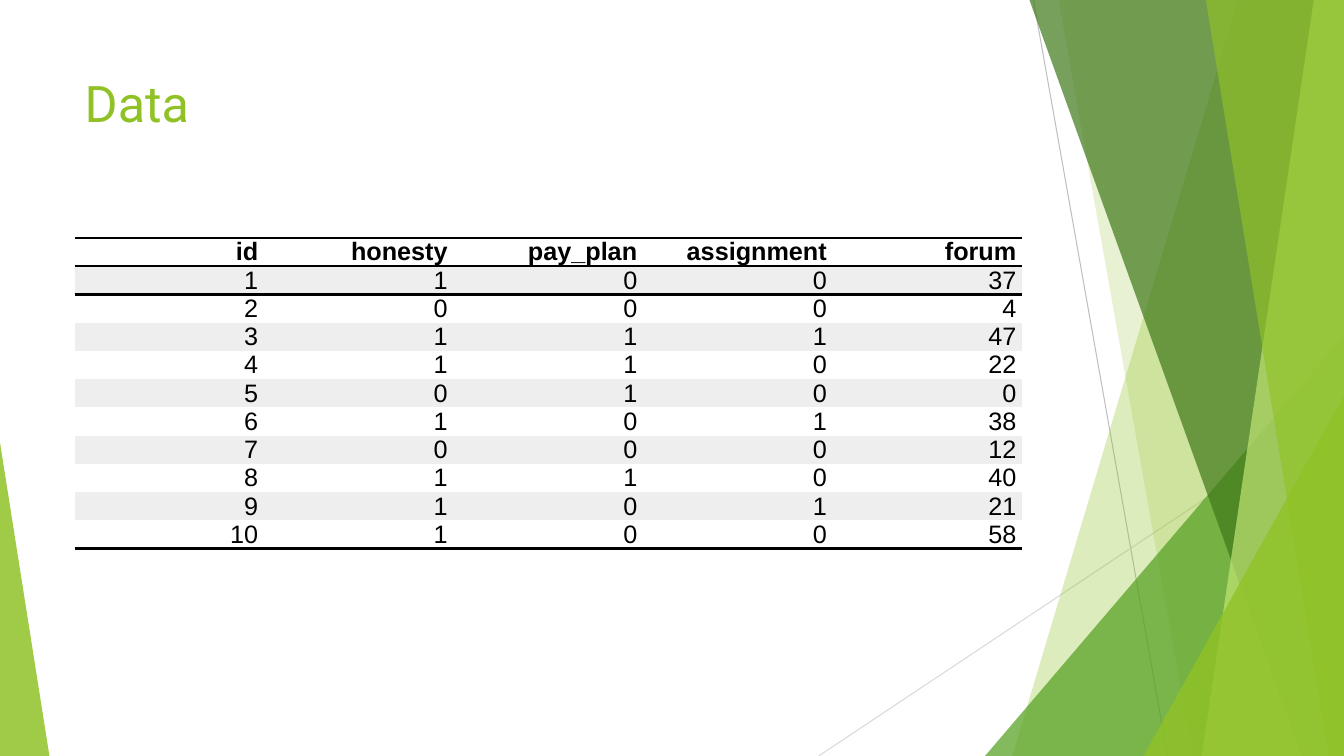
from lxml.etree import SubElement
from pptx import Presentation
from pptx.dml.color import RGBColor
from pptx.enum.shapes import MSO_CONNECTOR, MSO_SHAPE
from pptx.enum.text import MSO_ANCHOR, PP_ALIGN
from pptx.oxml.ns import qn
from pptx.util import Inches, Pt

LIME = RGBColor(0x90, 0xC2, 0x26)
GREEN = RGBColor(0x54, 0xA0, 0x21)
DARK_GREEN = RGBColor(0x3F, 0x78, 0x19)
PALE_LIME = RGBColor(0xC0, 0xE4, 0x74)
GRAY = RGBColor(0xBF, 0xBF, 0xBF)
LIGHT_GRAY = RGBColor(0xD9, 0xD9, 0xD9)
STRIPE = RGBColor(0xEE, 0xEE, 0xEE)
WHITE = RGBColor(0xFF, 0xFF, 0xFF)
BLACK = RGBColor(0, 0, 0)
WIDTH, HEIGHT = 13.33, 7.5
NO_STYLE_NO_GRID = "{2D5ABB26-0587-4C30-8999-92F81FD0307C}"


def paint(shape, color, opacity):
    shape.shadow.inherit = False
    shape.line.fill.background()
    shape.fill.solid()
    shape.fill.fore_color.rgb = color
    color_node = shape.fill._xPr.find(qn("a:solidFill"))[0]
    SubElement(color_node, qn("a:alpha"), val=str(opacity * 1000))


def add_border(cell, tag):
    line = SubElement(cell._tc.get_or_add_tcPr(), qn(tag), w=str(Pt(2)))
    fill = SubElement(line, qn("a:solidFill"))
    SubElement(fill, qn("a:srgbClr"), val=str(BLACK))


deck = Presentation()
deck.slide_width, deck.slide_height = Inches(WIDTH), Inches(HEIGHT)
page = deck.slides.add_slide(deck.slide_layouts[5])

# Thin background lines
for x1, y1, x2, y2, color in [
    (10.25, 0, 11.58, HEIGHT, GRAY),
    (WIDTH, 4.03, 8.12, HEIGHT, LIGHT_GRAY),
]:
    line = page.shapes.add_connector(
        MSO_CONNECTOR.STRAIGHT, Inches(x1), Inches(y1), Inches(x2), Inches(y2))
    line.line.color.rgb = color
    line.line.width = Pt(0.75)
    SubElement(line._element.spPr, qn("a:effectLst"))

# Translucent facets, back to front: bands run from a top x to a bottom x and
# fill to the right edge; triangles stand on the bottom edge
for kind, values, color, opacity in [
    ("band", (12.28, 10.04), LIME, 30),
    ("band", (10.5, 11.83), LIME, 20),
    ("triangle", (9.77, 3.33, 3.56, 1), GREEN, 72),
    ("band", (10.21, 12.91), DARK_GREEN, 70),
    ("band", (13.03, 11.92), PALE_LIME, 70),
    ("band", (11.96, 13.18), LIME, 65),
    ("triangle", (11.34, 3.93, 1.99, 1), LIME, 80),
    ("triangle", (0, 4.39, 0.49, 0), LIME, 85),
]:
    if kind == "band":
        top_x, bottom_x = values
        outline = page.shapes.build_freeform(Inches(top_x), 0)
        corners = [(WIDTH, 0), (WIDTH, HEIGHT), (bottom_x, HEIGHT)]
        outline.add_line_segments([(Inches(x), Inches(y)) for x, y in corners])
        facet = outline.convert_to_shape()
    else:
        left, top, width, apex = values
        facet = page.shapes.add_shape(
            MSO_SHAPE.ISOSCELES_TRIANGLE, Inches(left), Inches(top),
            Inches(width), Inches(HEIGHT - top))
        facet.adjustments[0] = apex
    paint(facet, color, opacity)

# Title
title = page.shapes.title
title.left, title.top = Inches(0.74), Inches(0.67)
title.width, title.height = Inches(9.4), Inches(1.44)
title.text_frame.text = "Data"
title.text_frame.vertical_anchor = MSO_ANCHOR.TOP
para = title.text_frame.paragraphs[0]
para.alignment = PP_ALIGN.LEFT
font = para.runs[0].font
font.name, font.size = "Roboto", Pt(36)
font.color.rgb = LIME

# Data table
rows = [
    ("id", "honesty", "pay_plan", "assignment", "forum"),
    (1, 1, 0, 0, 37),
    (2, 0, 0, 0, 4),
    (3, 1, 1, 1, 47),
    (4, 1, 1, 0, 22),
    (5, 0, 1, 0, 0),
    (6, 1, 0, 1, 38),
    (7, 0, 0, 0, 12),
    (8, 1, 1, 0, 40),
    (9, 1, 0, 1, 21),
    (10, 1, 0, 0, 58),
]
frame = page.shapes.add_table(
    len(rows), len(rows[0]), Inches(0.74), Inches(2.36),
    Inches(9.4), Inches(0.28 * len(rows)))
table = frame.table
table.first_row = table.horz_banding = False
table._tbl.tblPr.find(qn("a:tableStyleId")).text = NO_STYLE_NO_GRID

for r, row in enumerate(rows):
    for c, value in enumerate(row):
        cell = table.cell(r, c)
        cell.margin_left = cell.margin_right = 0
        cell.margin_top = cell.margin_bottom = 0
        cell.vertical_anchor = MSO_ANCHOR.MIDDLE
        if r in (0, 1):
            add_border(cell, "a:lnT")
        if r in (0, len(rows) - 1):
            add_border(cell, "a:lnB")
        if r == 0:
            cell.fill.background()
        else:
            cell.fill.solid()
            cell.fill.fore_color.rgb = STRIPE if r % 2 else WHITE

        cell.text_frame.text = str(value)
        para = cell.text_frame.paragraphs[0]
        para.alignment = PP_ALIGN.RIGHT
        para.space_before = para.space_after = Pt(1)
        for side in ("marL", "marR"):
            para._p.get_or_add_pPr().set(side, str(Inches(0.06)))
        font = para.runs[0].font
        font.name, font.size, font.bold = "Arial", Pt(18), r == 0
        font.color.rgb = BLACK

deck.save("out.pptx")
